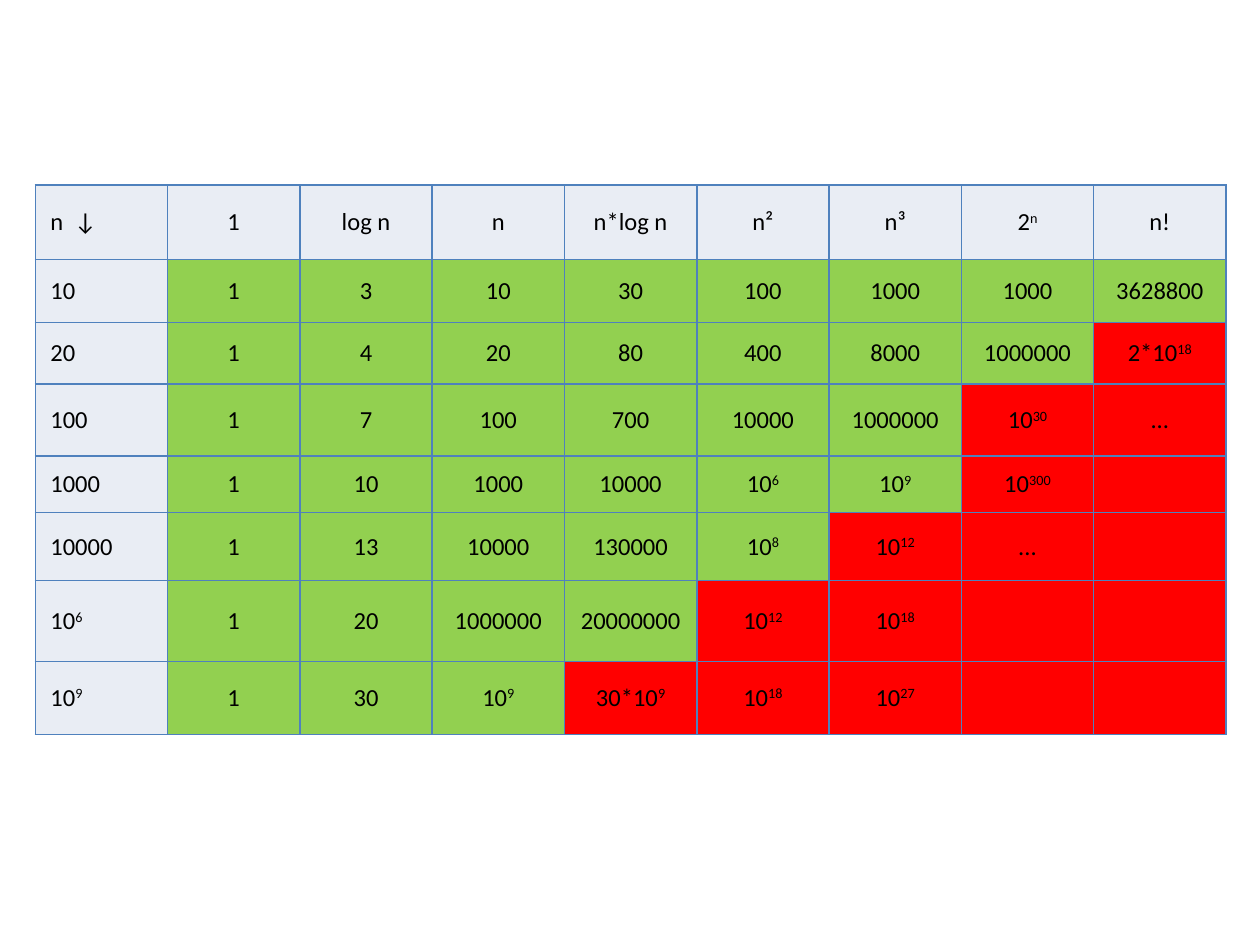
from dataclasses import dataclass

from lxml.etree import SubElement as Sub
from pptx import Presentation
from pptx.dml.color import RGBColor as RGB
from pptx.enum.text import MSO_ANCHOR as Anchor, PP_ALIGN as Align
from pptx.oxml.ns import qn
from pptx.util import Inches, Pt


@dataclass(frozen=True)
class Theme:
    font: str = "Calibri"
    size: int = 14
    ink: str = "000000"
    label: str = "E9EDF4"
    fast: str = "92D050"
    slow: str = "FF0000"
    line: str = "4F81BD"


THEME = Theme()
HEADS = ["n  ↓", "1", "log n", "n", "n*log n", "n²", "n³", "2^n", "n!"]
COUNTS = [
    ["10", "1", "3", "10", "30", "100", "1000", "1000", "3628800"],
    ["20", "1", "4", "20", "80", "400", "8000", "1000000", "2*10^18"],
    ["100", "1", "7", "100", "700", "10000", "1000000", "10^30", "..."],
    ["1000", "1", "10", "1000", "10000", "10^6", "10^9", "10^300", ""],
    ["10000", "1", "13", "10000", "130000", "10^8", "10^12", "...", ""],
    ["10^6", "1", "20", "1000000", "20000000", "10^12", "10^18", "", ""],
    ["10^9", "1", "30", "10^9", "30*10^9", "10^18", "10^27", "", ""],
]
SLOW_FROM = [9, 8, 7, 7, 6, 5, 4]
HEIGHTS = [0.59, 0.5, 0.49, 0.57, 0.45, 0.54, 0.64, 0.58]


def add_run(para, text, raised=False):
    run = para.add_run()
    run.text = text
    font = run.font
    font.name = THEME.font
    font.size = Pt(THEME.size)
    font.color.rgb = RGB.from_string(THEME.ink)
    if raised:
        run._r.get_or_add_rPr().set("baseline", "30000")


def add_lines(cell):
    props = cell._tc.get_or_add_tcPr()
    for side in ("a:lnL", "a:lnR", "a:lnT", "a:lnB"):
        line = Sub(props, qn(side), w=str(Pt(1)))
        fill = Sub(line, qn("a:solidFill"))
        Sub(fill, qn("a:srgbClr"), val=THEME.line)


def fill_cell(cell, text, color, align):
    add_lines(cell)
    cell.fill.solid()
    cell.fill.fore_color.rgb = RGB.from_string(color)
    cell.vertical_anchor = Anchor.MIDDLE
    cell.margin_left = cell.margin_right = Inches(0.12)
    cell.margin_top = cell.margin_bottom = 0
    para = cell.text_frame.paragraphs[0]
    para.alignment = align
    para.space_after = Pt(12)
    base, _, power = text.partition("^")
    if base:
        add_run(para, base)
    if power:
        add_run(para, power, raised=True)


def cell_color(row, col):
    if row == 0 or col == 0:
        return THEME.label
    return THEME.slow if col >= SLOW_FROM[row - 1] else THEME.fast


def add_growth(slide, left, top, width, height):
    rows = [HEADS] + COUNTS
    frame = slide.shapes.add_table(len(rows), len(HEADS), left, top, width, height)
    table = frame.table
    table.first_row = table.horz_banding = False
    for col in table.columns:
        col.width = width // len(HEADS)
    total = sum(HEIGHTS)
    for row, share in zip(table.rows, HEIGHTS):
        row.height = int(height * share / total)
    for r, texts in enumerate(rows):
        for c, text in enumerate(texts):
            align = Align.CENTER if c else Align.LEFT
            fill_cell(table.cell(r, c), text, cell_color(r, c), align)


def main():
    deck = Presentation()
    deck.slide_width = Inches(10)
    deck.slide_height = Inches(7.5)
    slide = deck.slides.add_slide(deck.slide_layouts[6])
    add_growth(slide, Inches(0.28), Inches(1.47), Inches(9.45), Inches(4.36))
    deck.save("out.pptx")


if __name__ == "__main__":
    main()
